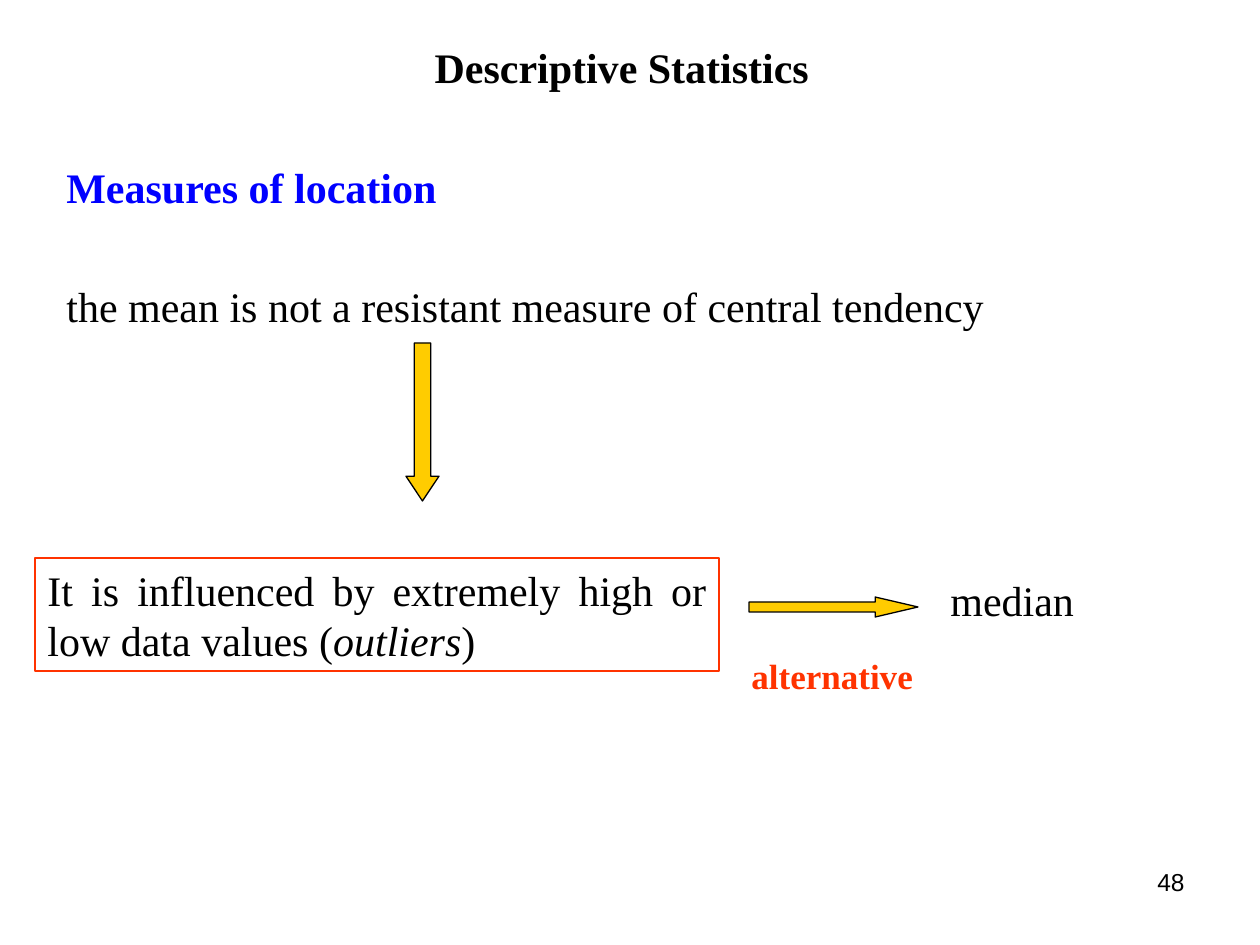
import pptx
import pptx.util
from pptx.dml.color import RGBColor
from pptx.enum.shapes import MSO_SHAPE
from pptx.enum.text import MSO_ANCHOR, MSO_AUTO_SIZE, PP_ALIGN

BLACK = RGBColor(0x00, 0x00, 0x00)
BLUE = RGBColor(0x00, 0x00, 0xFF)
RED = RGBColor(0xFF, 0x33, 0x00)
GOLD = RGBColor(0xFF, 0xCC, 0x00)
SERIF, SANS = "Times New Roman", "Arial"
PX = pptx.util.Inches(1) / 126

TITLE = ("Descriptive Statistics", (422, 35, 456, 63), {"bold": True})

# text, (left, top, width, height), font changes, alignment
LABELS = [
    ("Measures of location", (54, 155, 476, 63),
     {"bold": True, "color": BLUE}, PP_ALIGN.LEFT),
    ("the mean is not a resistant measure of central tendency",
     (54, 274, 1142, 63), {}, PP_ALIGN.LEFT),
    ("alternative", (739, 648, 208, 55),
     {"bold": True, "size": 20, "color": RED}, PP_ALIGN.LEFT),
    ("median", (938, 568, 169, 63), {}, PP_ALIGN.LEFT),
    ("48", (903, 861, 294, 65), {"size": 14, "name": SANS}, PP_ALIGN.RIGHT),
]

REASON_BOX = (35, 558, 684, 113)
REASON_RUNS = [
    ("It is influenced by extremely high or low data values (", {}),
    ("outliers", {"italic": True}),
    (")", {}),
]

# preset, (left, top, width, height), (shaft width, head length)
ARROWS = [
    (MSO_SHAPE.DOWN_ARROW, (406, 343, 33, 158), (0.5, 0.75)),
    (MSO_SHAPE.RIGHT_ARROW, (749, 597, 169, 20), (0.5, 2.14)),
]


def emu(box):
    return [round(value * PX) for value in box]


def write(shape, runs, alignment=PP_ALIGN.LEFT):
    """Fill a shape with one paragraph of (text, font changes) runs."""
    frame = shape.text_frame
    frame.word_wrap = True
    frame.auto_size = MSO_AUTO_SIZE.NONE
    frame.vertical_anchor = MSO_ANCHOR.TOP
    paragraph = frame.paragraphs[0]
    paragraph.alignment = alignment
    for text, changes in runs:
        run = paragraph.add_run()
        run.text = text
        values = {"name": SERIF, "size": 24, "color": BLACK,
                  "bold": False, "italic": False, **changes}
        run.font.color.rgb = values.pop("color")
        values["size"] = pptx.util.Pt(values["size"])
        for name, value in values.items():
            setattr(run.font, name, value)


def add_outlined(slide, preset, box, line_color):
    shape = slide.shapes.add_shape(preset, *emu(box))
    shape.shadow.inherit = False
    shape.line.color.rgb = line_color
    shape.line.width = pptx.util.Pt(0.75)
    return shape


def main():
    presentation = pptx.Presentation()
    presentation.slide_width = pptx.util.Inches(10)
    presentation.slide_height = pptx.util.Inches(7.5)
    slide = presentation.slides.add_slide(presentation.slide_layouts[5])

    text, box, changes = TITLE
    title = slide.shapes.title
    title.left, title.top, title.width, title.height = emu(box)
    write(title, [(text, changes)])

    for text, box, changes, alignment in LABELS:
        label = slide.shapes.add_textbox(*emu(box))
        write(label, [(text, changes)], alignment)

    reason = add_outlined(slide, MSO_SHAPE.RECTANGLE, REASON_BOX, RED)
    reason.fill.background()
    write(reason, REASON_RUNS, PP_ALIGN.JUSTIFY)

    for preset, box, adjustments in ARROWS:
        arrow = add_outlined(slide, preset, box, BLACK)
        arrow.fill.solid()
        arrow.fill.fore_color.rgb = GOLD
        for index, value in enumerate(adjustments):
            arrow.adjustments[index] = value

    presentation.save("out.pptx")


if __name__ == "__main__":
    main()
